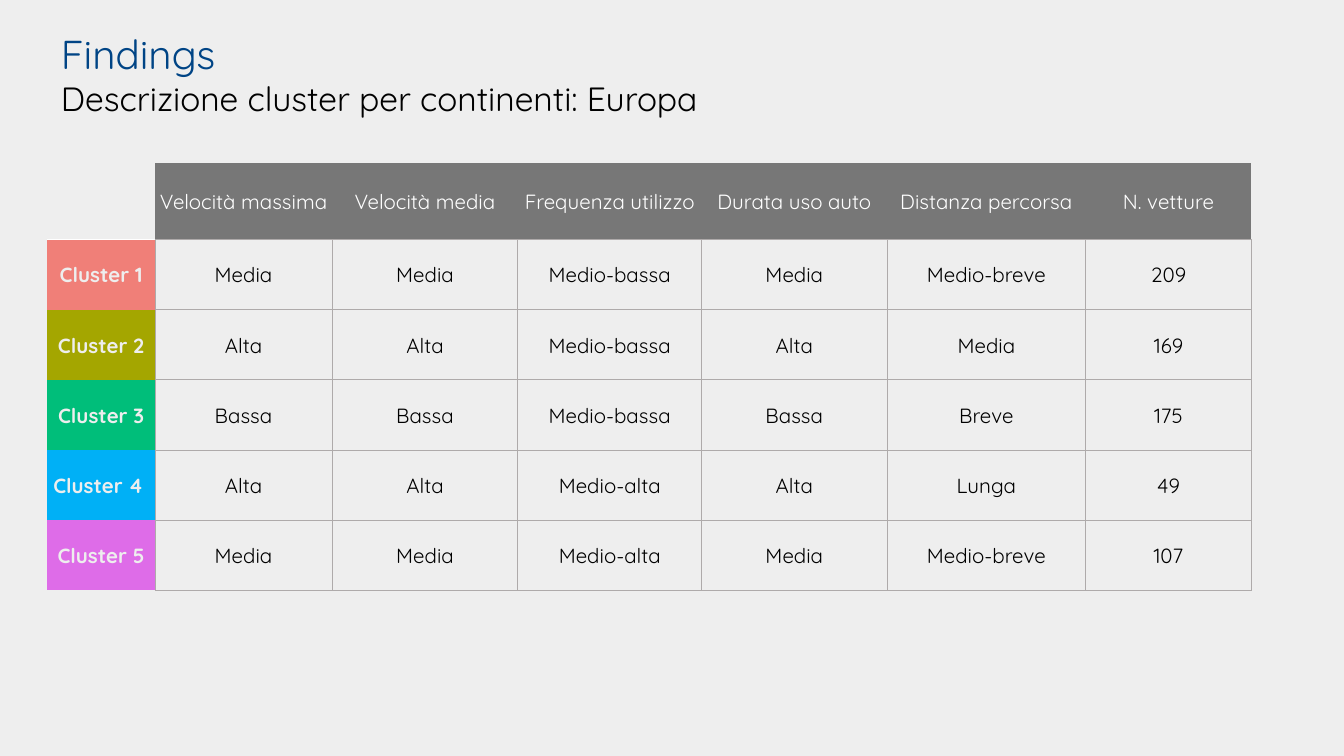
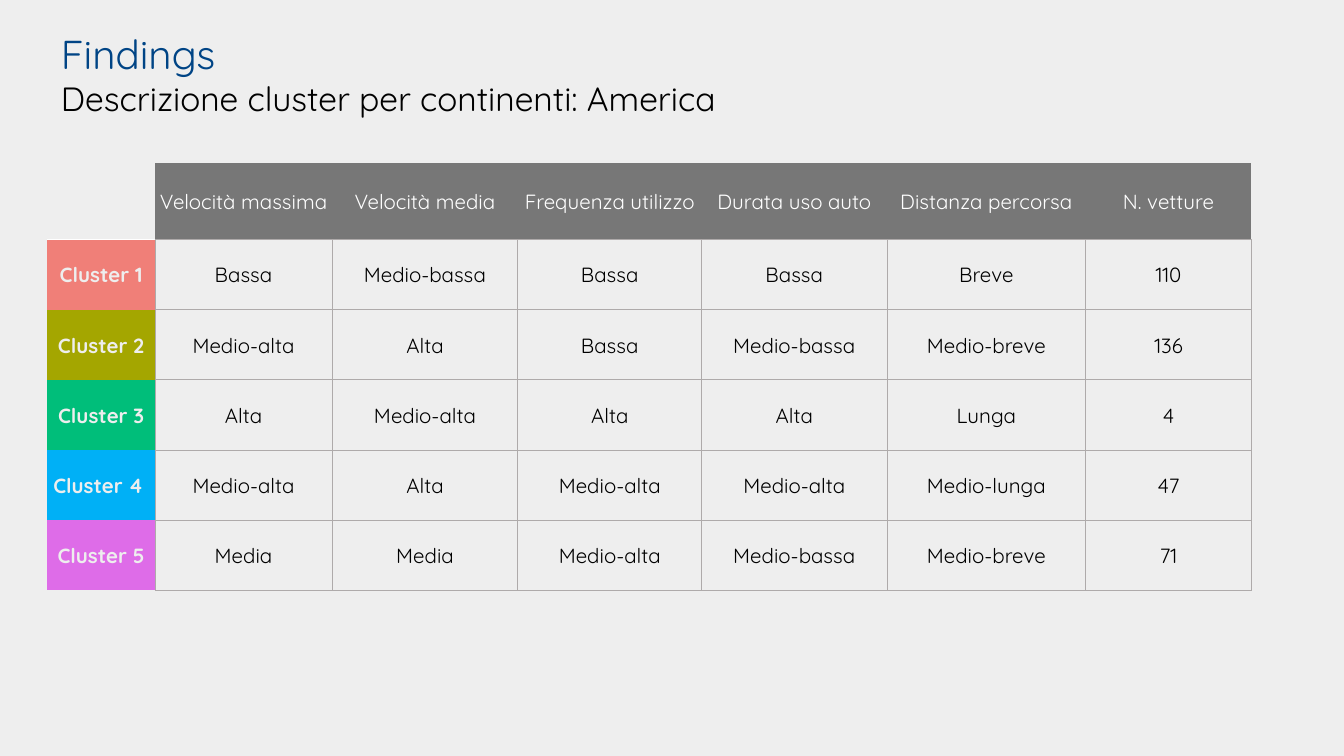
from lxml import etree
from pptx import Presentation
from pptx.dml.color import RGBColor
from pptx.enum.text import MSO_ANCHOR, MSO_AUTO_SIZE, PP_ALIGN
from pptx.oxml.ns import qn
from pptx.util import Pt

MIDDLE = MSO_ANCHOR.MIDDLE
NO_AUTOFIT = MSO_AUTO_SIZE.NONE
LEFT, CENTER = PP_ALIGN.LEFT, PP_ALIGN.CENTER

FONT = "Quicksand"
PAPER, WHITE, BLACK = "EEEEEE", "FFFFFF", "000000"
BLUE, HEADER_GREY = "004485", "777777"
GREY_LINE, WHITE_LINE = ("AEAAAA", 0.5), ("FFFFFF", 1)

COLUMN_WIDTHS = [57.6, 95, 99.4, 98.6, 99.2, 106.6, 88.6]
ROW_HEIGHTS = [41] + [37.6] * 5
MEASURES = ["Velocità massima", "Velocità media", "Frequenza utilizzo",
            "Durata uso auto", "Distanza percorsa", "N. vetture"]
CLUSTERS = [("Cluster 1", "F07F78"), ("Cluster 2", "A4A600"), ("Cluster 3", "00BE7A"),
            ("Cluster 4 ", "00B0F6"), ("Cluster 5", "DE6CE8")]
CONTINENTS = {
    "Europa": [
        ["Media", "Media", "Medio-bassa", "Media", "Medio-breve", "209"],
        ["Alta", "Alta", "Medio-bassa", "Alta", "Media", "169"],
        ["Bassa", "Bassa", "Medio-bassa", "Bassa", "Breve", "175"],
        ["Alta", "Alta", "Medio-alta", "Alta", "Lunga", "49"],
        ["Media", "Media", "Medio-alta", "Media", "Medio-breve", "107"],
    ],
    "America": [
        ["Bassa", "Medio-bassa", "Bassa", "Bassa", "Breve", "110"],
        ["Medio-alta", "Alta", "Bassa", "Medio-bassa", "Medio-breve", "136"],
        ["Alta", "Medio-alta", "Alta", "Alta", "Lunga", "4"],
        ["Medio-alta", "Alta", "Medio-alta", "Medio-alta", "Medio-lunga", "47"],
        ["Media", "Media", "Medio-alta", "Medio-bassa", "Medio-breve", "71"],
    ],
}


def write(paragraph, text, size=11, color=BLACK, bold=False, align=CENTER):
    paragraph.alignment = align
    run = paragraph.add_run()
    run.text = text
    run.font.name = FONT
    run.font.size = Pt(size)
    run.font.bold = bold
    run.font.color.rgb = RGBColor.from_string(color)


def style_cell(cell, fill, **edges):
    """Fill a cell and draw the given edges (L, R, T, B); the others stay empty."""
    cell.fill.solid()
    cell.fill.fore_color.rgb = RGBColor.from_string(fill)
    properties = cell._tc.get_or_add_tcPr()
    for position, side in enumerate("LRTB"):
        line = etree.Element(qn(f"a:ln{side}"))
        properties.insert(position, line)
        if side in edges:
            color, width = edges[side]
            line.set("w", str(Pt(width)))
            solid = etree.SubElement(line, qn("a:solidFill"))
            etree.SubElement(solid, qn("a:srgbClr"), val=color)
        else:
            etree.SubElement(line, qn("a:noFill"))


prs = Presentation()
prs.slide_width, prs.slide_height = Pt(720), Pt(405)
background = prs.slide_master.background.fill
background.solid()
background.fore_color.rgb = RGBColor.from_string(PAPER)
title_only = prs.slide_layouts[5]

for continent, ratings in CONTINENTS.items():
    slide = prs.slides.add_slide(title_only)

    title = slide.shapes.title
    title.left, title.top, title.width, title.height = Pt(25.4), Pt(23.8), Pt(406), Pt(31)
    title.text_frame.auto_size = NO_AUTOFIT
    title.text_frame.vertical_anchor = MIDDLE
    heading = title.text_frame.paragraphs[0]
    write(heading, "Findings ", size=21.6, color=BLUE, align=LEFT)
    heading.add_line_break()
    write(heading, f"Descrizione cluster per continenti: {continent}", size=18, align=LEFT)

    table = slide.shapes.add_table(
        len(ROW_HEIGHTS), len(COLUMN_WIDTHS), Pt(25.4), Pt(87.3),
        Pt(sum(COLUMN_WIDTHS)), Pt(sum(ROW_HEIGHTS))).table
    table.first_row = table.horz_banding = False
    for column, width in zip(table.columns, COLUMN_WIDTHS):
        column.width = Pt(width)
    for row, height in zip(table.rows, ROW_HEIGHTS):
        row.height = Pt(height)
    for cell in table.iter_cells():
        cell.vertical_anchor = MIDDLE
        cell.margin_left = cell.margin_right = cell.margin_top = Pt(0.7)
        cell.margin_bottom = 0

    style_cell(table.cell(0, 0), PAPER, B=WHITE_LINE)
    for c, measure in enumerate(MEASURES, 1):
        header = table.cell(0, c)
        style_cell(header, HEADER_GREY, B=GREY_LINE)
        write(header.text_frame.paragraphs[0], measure, color=WHITE)

    for r, ((cluster, color), values) in enumerate(zip(CLUSTERS, ratings), 1):
        label = table.cell(r, 0)
        top_edge = {"T": WHITE_LINE} if r == 1 else {}
        style_cell(label, color, R=GREY_LINE, **top_edge)
        write(label.text_frame.paragraphs[0], cluster, color=PAPER, bold=True)
        for c, value in enumerate(values, 1):
            rating = table.cell(r, c)
            style_cell(rating, PAPER, **dict.fromkeys("LRTB", GREY_LINE))
            write(rating.text_frame.paragraphs[0], value)

prs.save("out.pptx")
